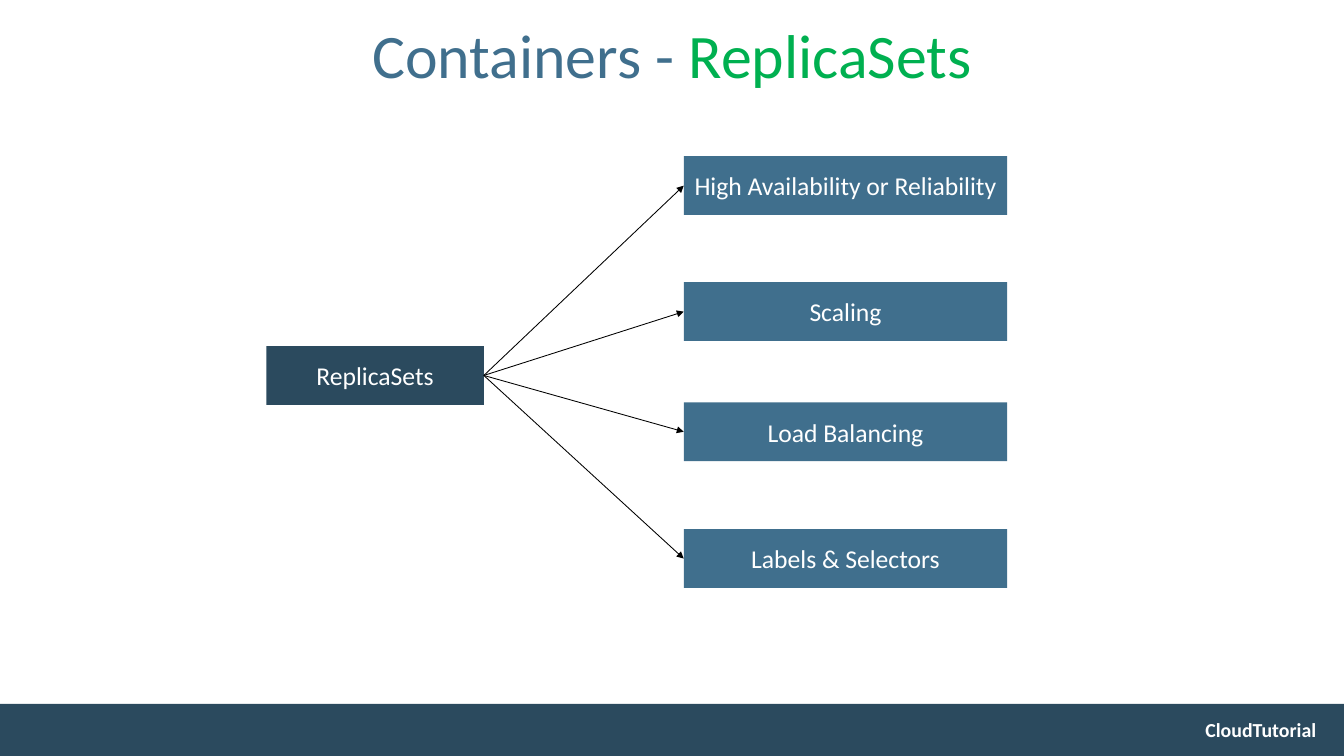
from lxml.etree import SubElement
from pptx import Presentation
from pptx.dml.color import RGBColor
from pptx.enum.shapes import MSO_CONNECTOR, MSO_SHAPE
from pptx.enum.text import MSO_ANCHOR, PP_ALIGN
from pptx.oxml.ns import qn
from pptx.util import Inches, Pt

NAVY, BLUE, GREEN = "2B4A5E", "406F8D", "00B050"
WHITE, BLACK = "FFFFFF", "000000"
LEFT_SITE, RIGHT_SITE = 1, 3
FEATURES = [
    ("High Availability or Reliability", 1.86),
    ("Scaling", 3.36),
    ("Load Balancing", 4.79),
    ("Labels & Selectors", 6.3),
]


def rgb(color):
    return RGBColor.from_string(color)


def place(sp, left, top, width, height):
    sp.left, sp.top = Inches(left), Inches(top)
    sp.width, sp.height = Inches(width), Inches(height)


def write(sp, parts, size, bold=False, inset=0.1):
    tf = sp.text_frame
    tf.word_wrap = True
    tf.vertical_anchor = MSO_ANCHOR.MIDDLE
    tf.margin_left = tf.margin_right = Inches(inset)
    p = tf.paragraphs[0]
    p.alignment = PP_ALIGN.CENTER
    for text, color in parts:
        r = p.add_run()
        r.text = text
        r.font.name = "Calibri"
        r.font.size = Pt(size)
        r.font.bold = bold
        r.font.color.rgb = rgb(color)


def add_title(s, parts):
    sp = s.shapes.title
    place(sp, 1.1, 0.04, 13.8, 1.3)
    write(sp, parts, 53)
    sp.text_frame.paragraphs[0].line_spacing = 0.9


def add_box(s, left, top, width, height, color, text=""):
    sp = s.shapes.add_shape(MSO_SHAPE.RECTANGLE, 0, 0, 0, 0)
    place(sp, left, top, width, height)
    sp.shadow.inherit = False
    sp.fill.solid()
    sp.fill.fore_color.rgb = rgb(color)
    sp.line.fill.background()
    if text:
        write(sp, [(text, WHITE)], 22)
    return sp


def add_footer(s, text):
    add_box(s, -0.02, 8.38, 16.02, 0.62, NAVY)
    sp = s.shapes.add_textbox(0, 0, 0, 0)
    place(sp, 14.06, 8.44, 1.9, 0.48)
    write(sp, [(text, WHITE)], 17, bold=True, inset=0.12)


def add_arrow(s, source, target):
    c = s.shapes.add_connector(MSO_CONNECTOR.STRAIGHT, 0, 0, 0, 0)
    c.begin_connect(source, RIGHT_SITE)
    c.end_connect(target, LEFT_SITE)
    c.line.color.rgb = rgb(BLACK)
    c.line.width = Pt(0.75)
    SubElement(c.line._get_or_add_ln(), qn("a:tailEnd"), type="triangle")
    SubElement(c._element.spPr, qn("a:effectLst"))


def main():
    prs = Presentation()
    prs.slide_width, prs.slide_height = Inches(16), Inches(9)
    s = prs.slides.add_slide(prs.slide_layouts[5])
    add_footer(s, "CloudTutorial")
    add_title(s, [("Containers - ", BLUE), ("ReplicaSets", GREEN)])
    hub = add_box(s, 3.17, 4.12, 2.59, 0.7, NAVY, "ReplicaSets")
    boxes = [add_box(s, 8.14, top, 3.85, 0.7, BLUE, text) for text, top in FEATURES]
    for box in boxes:
        add_arrow(s, hub, box)
    prs.save("out.pptx")


if __name__ == "__main__":
    main()
